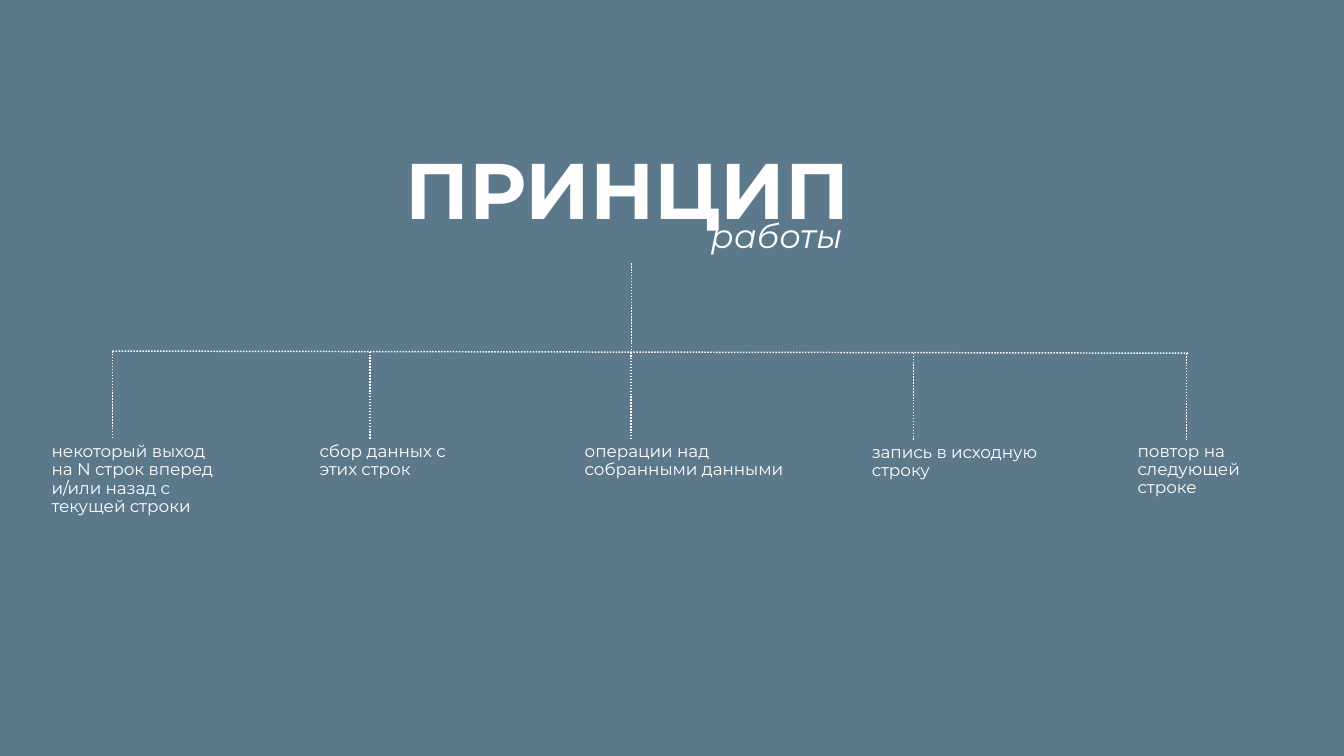
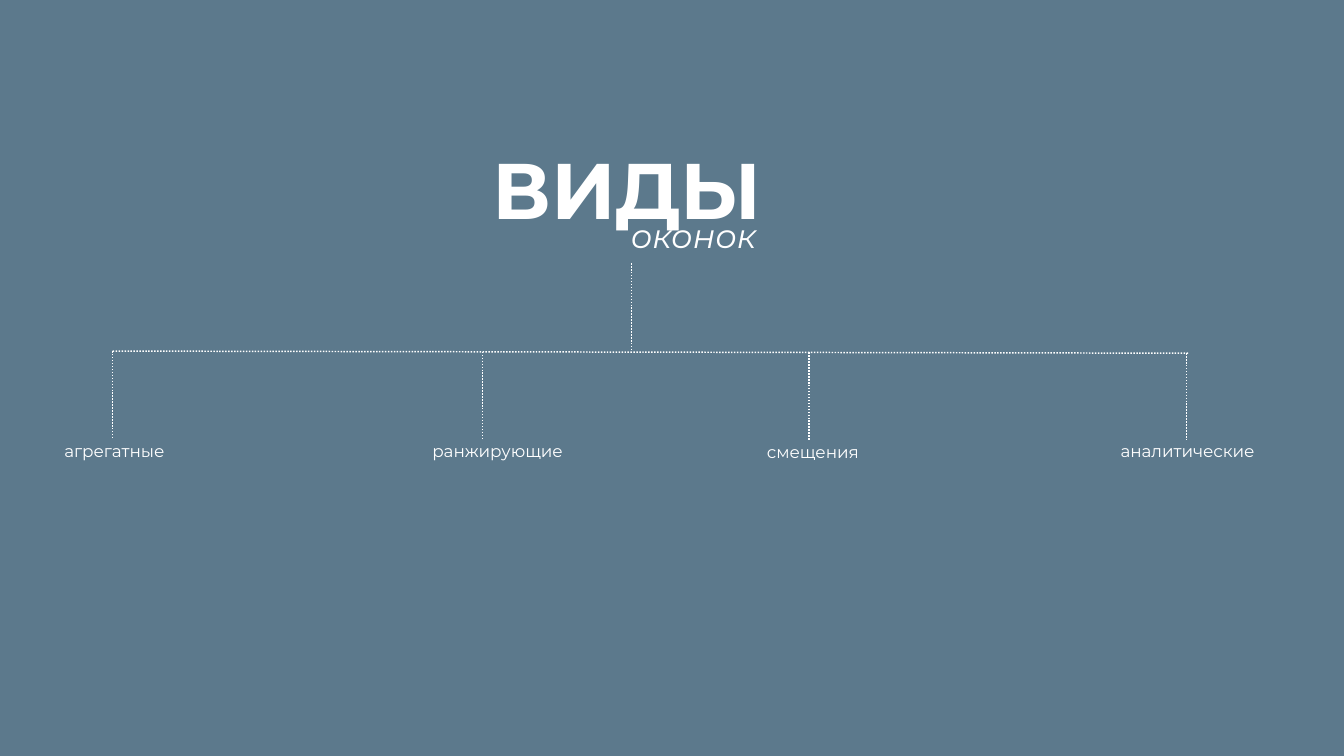
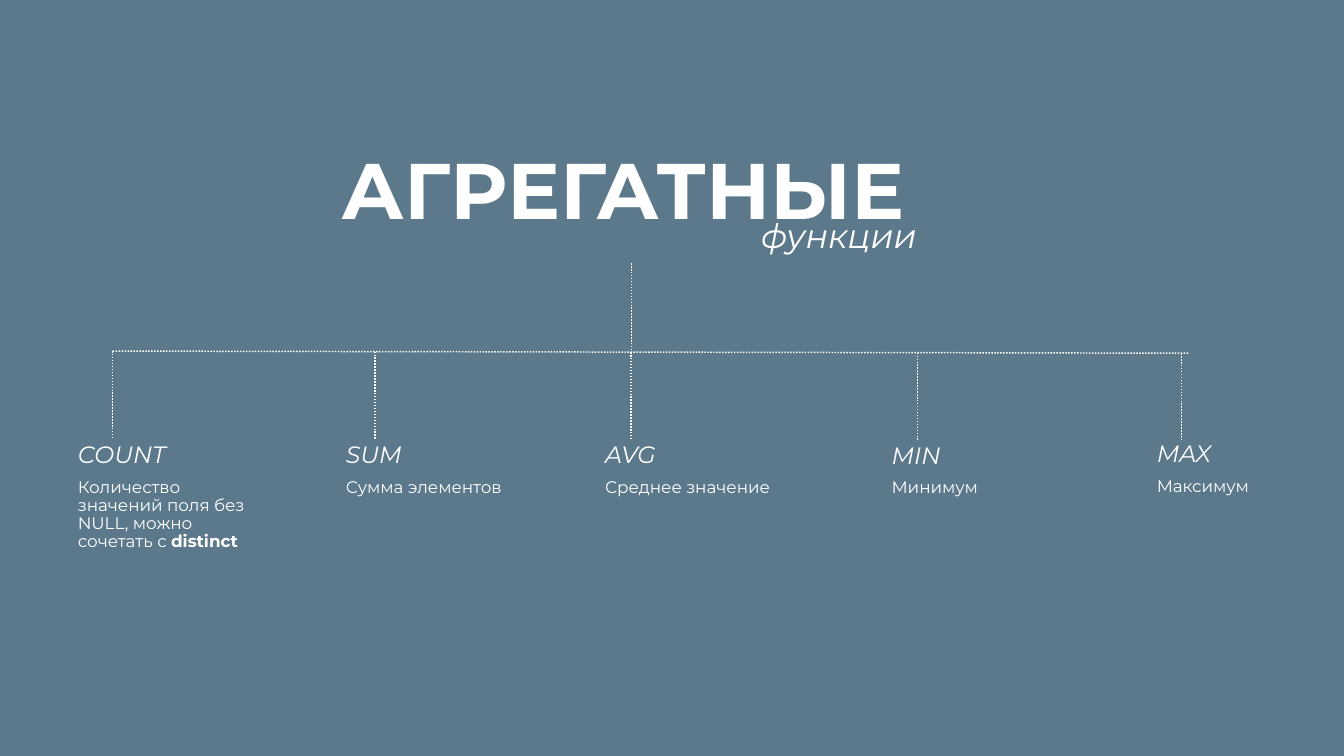
from collections import namedtuple

from lxml.etree import SubElement
from pptx import Presentation
from pptx.dml.color import RGBColor
from pptx.enum.dml import MSO_LINE_DASH_STYLE as Dash
from pptx.enum.shapes import MSO_CONNECTOR as Connector
from pptx.enum.text import PP_ALIGN as Align
from pptx.oxml.ns import qn
from pptx.util import Inches, Pt

BACKGROUND = "5C798C"
WHITE = "FFFFFF"
FONT = "Montserrat"

TRUNK_X, TRUNK_TOP = 8.91, 3.71
RAIL_LEFT, RAIL_RIGHT = 1.59, 16.76
RAIL_Y, RAIL_SLOPE = 4.95, 0.002
DROP = 1.24

# Size and top of the label under each branch
Slot = namedtuple("Slot", "top width height")
FIRST = Slot(6.2, 2.66, 2.1)
SECOND = Slot(6.2, 2.51, 2.39)
MIDDLE = Slot(6.2, 3.27, 3.5)
FOURTH = Slot(6.21, 2.7, 4.43)
LAST = Slot(6.19, 2.41, 3.73)

Branch = namedtuple("Branch", "x label_left slot text heading bold_end",
                    defaults=("", ""))


def color(hex_code):
    return RGBColor.from_string(hex_code)


def write(paragraph, text, *, size=17.1, bold=False, italic=False,
          align=Align.LEFT, before=0):
    paragraph.alignment = align
    paragraph.line_spacing = 0.9
    paragraph.space_before = Pt(before)
    run = paragraph.add_run()
    run.text = text
    font = run.font
    font.name, font.size = FONT, Pt(size)
    font.bold, font.italic = bold, italic
    font.color.rgb = color(WHITE)


def add_frame(slide, left, top, width, height):
    box = slide.shapes.add_textbox(*map(Inches, (left, top, width, height)))
    box.text_frame.word_wrap = True
    return box.text_frame


def add_dotted_line(slide, *ends):
    line = slide.shapes.add_connector(Connector.STRAIGHT, *map(Inches, ends))
    line.line.color.rgb = color(WHITE)
    line.line.width = Pt(1.5)
    line.line.dash_style = Dash.ROUND_DOT
    SubElement(line._element.spPr, qn("a:effectLst"))


def add_title(slide, title, left, width, subtitle, subtitle_left):
    frame = add_frame(slide, left, 2.08, width, 1.01)
    write(frame.paragraphs[0], title, size=80, bold=True, align=Align.CENTER)
    frame = add_frame(slide, subtitle_left, 3.04, 3.55, 0.74)
    write(frame.paragraphs[0], subtitle, size=34.1, italic=True,
          align=Align.CENTER)


def rail_y(x):
    return RAIL_Y + RAIL_SLOPE * (x - RAIL_LEFT)


def add_branch(slide, branch):
    start = rail_y(branch.x)
    add_dotted_line(slide, branch.x, start, branch.x, start + DROP)
    slot = branch.slot
    frame = add_frame(slide, branch.label_left, slot.top, slot.width, slot.height)
    body = frame.paragraphs[0]
    if branch.heading:
        write(body, branch.heading, size=24, italic=True)
        body = frame.add_paragraph()
    before = 10 if branch.heading else 0
    write(body, branch.text, before=before)
    if branch.bold_end:
        write(body, branch.bold_end, bold=True, before=before)


def add_tree_slide(deck, title, title_left, title_width, subtitle,
                   subtitle_left, branches):
    slide = deck.slides.add_slide(deck.slide_layouts[6])
    add_title(slide, title, title_left, title_width, subtitle, subtitle_left)
    add_dotted_line(slide, TRUNK_X, TRUNK_TOP, TRUNK_X, RAIL_Y)
    add_dotted_line(slide, RAIL_RIGHT, rail_y(RAIL_RIGHT), RAIL_LEFT, RAIL_Y)
    for branch in branches:
        add_branch(slide, branch)


def main():
    deck = Presentation()
    deck.slide_width, deck.slide_height = Inches(18.96), Inches(10.66)
    background = deck.slide_master.background.fill
    background.solid()
    background.fore_color.rgb = color(BACKGROUND)

    add_tree_slide(deck, "ПРИНЦИП", 5.26, 7.18, "работы", 9.18, [
        Branch(1.59, 0.63, FIRST,
               "некоторый выход на N строк вперед и/или назад с текущей строки"),
        Branch(5.22, 4.41, SECOND, "сбор данных с этих строк"),
        Branch(8.9, 8.15, MIDDLE, "операции над собранными данными"),
        Branch(12.89, 12.2, FOURTH, "запись в исходную строку"),
        Branch(16.74, 15.95, LAST, "повтор на следующей строке"),
    ])
    add_tree_slide(deck, "ВИДЫ", 5.26, 7.18, "оконок", 8.01, [
        Branch(1.59, 0.81, FIRST, "агрегатные"),
        Branch(6.81, 6, SECOND, "ранжирующие"),
        Branch(11.41, 10.72, FOURTH, "смещения"),
        Branch(16.74, 15.71, LAST, "аналитические"),
    ])
    add_tree_slide(deck, "АГРЕГАТНЫЕ", 4.52, 8.54, "функции", 10.06, [
        Branch(1.59, 1, FIRST,
               "Количество значений поля без NULL, можно сочетать с ",
               "COUNT", "distinct"),
        Branch(5.29, 4.78, SECOND, "Сумма элементов", "SUM"),
        Branch(8.9, 8.44, MIDDLE, "Среднее значение", "AVG"),
        Branch(12.94, 12.48, FOURTH, "Минимум", "MIN"),
        Branch(16.67, 16.22, LAST, "Максимум", "MAX"),
    ])
    deck.save("out.pptx")


if __name__ == "__main__":
    main()
